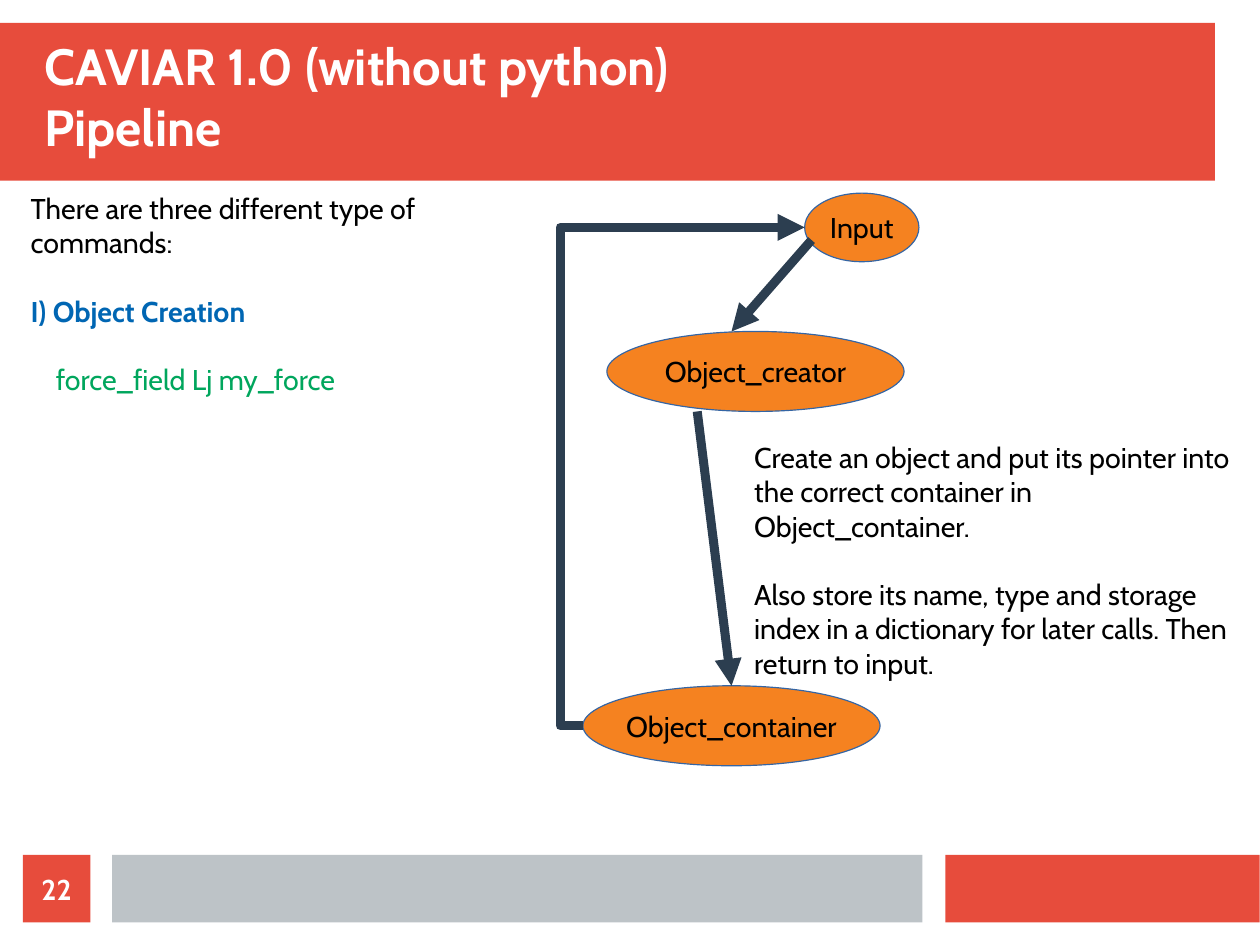
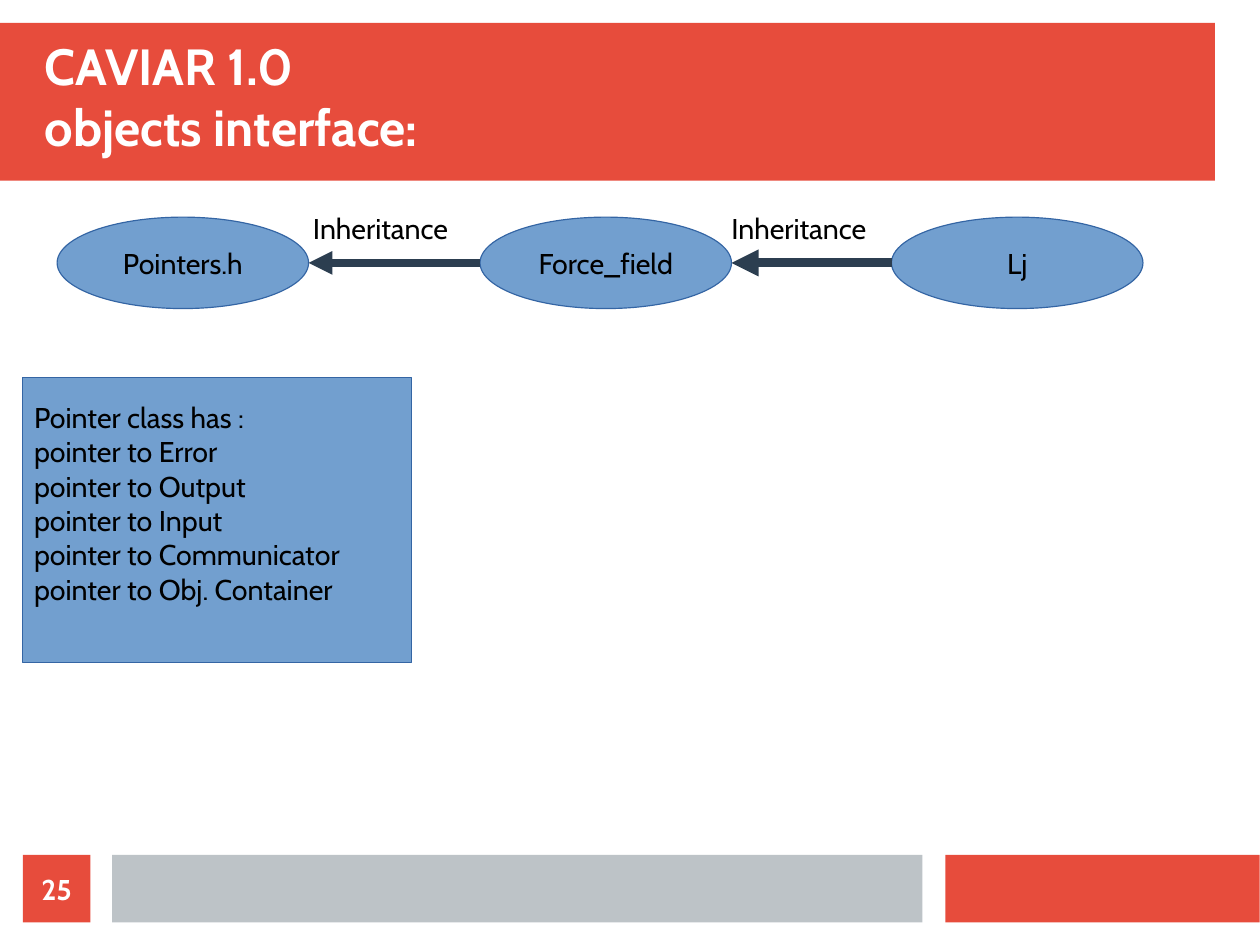
from lxml.etree import SubElement
from pptx import Presentation
from pptx.dml.color import RGBColor
from pptx.enum.shapes import MSO_CONNECTOR, MSO_SHAPE
from pptx.enum.text import MSO_ANCHOR, PP_ALIGN
from pptx.oxml.ns import qn
from pptx.util import Inches, Pt

COLORS = {
    "red": "E74C3C", "gray": "BDC3C7", "white": "FFFFFF", "black": "000000",
    "orange": "F58220", "blue": "729FCF", "outline": "3465A4",
    "arrow": "2C3E50", "heading": "0066B3", "command": "00A65D",
}
CM_PER_INCH = 2.54
SLIDE_WIDTH = Inches(28 / CM_PER_INCH)
SLIDE_HEIGHT = Inches(21 / CM_PER_INCH)
FONT = "Cabin"
BODY_SIZE = 18
LINE_GAP = 21.6  # height of one body line, in points
PADDING = (0.1, 0.05, 0.1, 0.05)
FLUSH = (0, 0, 0, 0)


def rgb(name):
    return RGBColor.from_string(COLORS[name])


def write(shape, lines, color="black", size=BODY_SIZE, bold=False,
          align=PP_ALIGN.LEFT, anchor=MSO_ANCHOR.TOP, inset=PADDING,
          wrap=True, gap=0):
    """Fill a shape with one paragraph per line, all in one style."""
    frame = shape.text_frame
    frame.text = "\n".join(lines)
    frame.word_wrap = wrap
    frame.vertical_anchor = anchor
    (frame.margin_left, frame.margin_top,
     frame.margin_right, frame.margin_bottom) = map(Inches, inset)
    for i, paragraph in enumerate(frame.paragraphs):
        paragraph.alignment = align
        if i and gap:
            paragraph.space_before = Pt(gap)
        for run in paragraph.runs:
            run.font.name = FONT
            run.font.size = Pt(size)
            run.font.bold = bold
            run.font.color.rgb = rgb(color)
    return frame.paragraphs


def add_text(slide, box, lines, **style):
    return write(slide.shapes.add_textbox(*map(Inches, box)), lines, **style)


def add_block(slide, kind, box, fill, outlined=False):
    block = slide.shapes.add_shape(kind, *map(Inches, box))
    block.shadow.inherit = False
    block.fill.solid()
    block.fill.fore_color.rgb = rgb(fill)
    if outlined:
        block.line.color.rgb = rgb("outline")
        block.line.width = Pt(0)
    else:
        block.line.fill.background()
    return block


def add_node(slide, box, label, fill):
    node = add_block(slide, MSO_SHAPE.OVAL, box, fill, outlined=True)
    write(node, [label], align=PP_ALIGN.CENTER, anchor=MSO_ANCHOR.MIDDLE,
          wrap=False)


def add_arrow(slide, start, end, width=5.67, kind=MSO_CONNECTOR.STRAIGHT):
    arrow = slide.shapes.add_connector(kind, *map(Inches, start + end))
    arrow.line.color.rgb = rgb("arrow")
    arrow.line.width = Pt(width)
    properties = arrow._element.spPr
    SubElement(properties.find(qn("a:ln")), qn("a:tailEnd"), type="triangle")
    SubElement(properties, qn("a:effectLst"))
    return arrow


def add_return_arrow(slide, start, end, overhang):
    """Elbow arrow that first runs left of its start by the overhang."""
    arrow = add_arrow(slide, start, end, kind=MSO_CONNECTOR.ELBOW)
    geometry = arrow._element.spPr.find(qn("a:prstGeom"))
    guides = geometry.find(qn("a:avLst"))
    if guides is None:
        guides = SubElement(geometry, qn("a:avLst"))
    bend = round(-overhang / (end[0] - start[0]) * 100000)
    SubElement(guides, qn("a:gd"), name="adj1", fmla=f"val {bend}")


def add_frame(prs, title, number):
    """Start a slide with the shared title band, footer and page number."""
    slide = prs.slides.add_slide(prs.slide_layouts[6])
    for box, fill in (((0, 0.2, 10.63, 1.38), "red"),
                      ((8.27, 7.48, 2.75, 0.59), "red"),
                      ((0.98, 7.48, 7.09, 0.59), "gray")):
        add_block(slide, MSO_SHAPE.RECTANGLE, box, fill)
    add_text(slide, (0.39, 0.39, 10.24, 0.98), [title], color="white",
             size=32, bold=True, anchor=MSO_ANCHOR.BOTTOM, inset=FLUSH)
    page = add_block(slide, MSO_SHAPE.RECTANGLE, (0.2, 7.48, 0.59, 0.59), "red")
    write(page, [number], color="white", bold=True, align=PP_ALIGN.CENTER,
          anchor=MSO_ANCHOR.MIDDLE, inset=FLUSH)
    return slide


def add_commands(slide, box):
    _, heading, command = add_text(slide, box, [
        "There are three different type of commands:",
        "I) Object Creation",
        "force_field Lj my_force",
    ], gap=LINE_GAP)
    heading.runs[0].font.bold = True
    heading.runs[0].font.color.rgb = rgb("heading")
    command.runs[0].font.color.rgb = rgb("command")
    command._p.get_or_add_pPr().set("marL", str(Inches(0.22)))


def add_creation_loop(slide, box):
    """Input, creator and container nodes with the arrows between them."""
    left, top, width, height = box

    def at(x, y):
        return left + x, top + y

    for place, size, label in (
            (at(2.14, 0), (1, 0.6), "Input"),
            (at(0.2, 4.31), (2.6, 0.7), "Object_container"),
            (at(0.41, 1.21), (2.6, 0.7), "Object_creator")):
        add_node(slide, place + size, label, "orange")
    add_arrow(slide, at(2.2, 0.41), at(1.5, 1.21))
    add_arrow(slide, at(1.2, 1.91), at(1.5, 4.31))
    add_return_arrow(slide, at(0.2, 4.66), at(2.14, 0.3), overhang=0.2)
    # Explanation beside the loop
    add_text(slide, at(1.6, 2.11) + (width - 1.6, height - 2.53), [
        "Create an object and put its pointer into the correct container in "
        "Object_container.",
        "Also store its name, type and storage index in a dictionary for "
        "later calls. Then return to input.",
    ], gap=LINE_GAP)


def add_inheritance_chain(slide, box):
    left, top, _, height = box
    node_width = 2.2
    middle = top + height / 2
    starts = [left, left + 3.7, left + 7.3]
    for start, label in zip(starts, ("Pointers.h", "Force_field", "Lj")):
        add_node(slide, (start, top, node_width, height), label, "blue")
    # Arrows from each class to its parent
    for parent, child, weight, shift in zip(
            starts, starts[1:], (5, 5.67), (-0.06, -0.1)):
        edge = parent + node_width
        add_arrow(slide, (child, middle), (edge, middle), weight)
        add_text(slide, (edge + shift, top - 0.1, 1.7, 0.68), ["Inheritance"])


def add_pointer_class(slide, box):
    members = ("Error", "Output", "Input", "Communicator", "Obj. Container")
    panel = add_block(slide, MSO_SHAPE.RECTANGLE, box, "blue", outlined=True)
    write(panel, ["Pointer class has :"] + [f"pointer to {m}" for m in members],
          inset=(0.1, 0.2, 0.1, 0.05))


def build_pipeline(prs):
    slide = add_frame(prs, "CAVIAR 1.0 (without python)\vPipeline", "22")
    add_commands(slide, (0.17, 1.62, 4.8, 5.54))
    add_creation_loop(slide, (4.9, 1.69, 6.12, 5.01))


def build_interface(prs):
    slide = add_frame(prs, "CAVIAR 1.0 \vobjects interface:", "25")
    add_inheritance_chain(slide, (0.5, 1.9, 9.5, 0.8))
    add_pointer_class(slide, (0.2, 3.3, 3.4, 2.5))


def main():
    prs = Presentation()
    prs.slide_width, prs.slide_height = SLIDE_WIDTH, SLIDE_HEIGHT
    build_pipeline(prs)
    build_interface(prs)
    prs.save("out.pptx")


if __name__ == "__main__":
    main()
